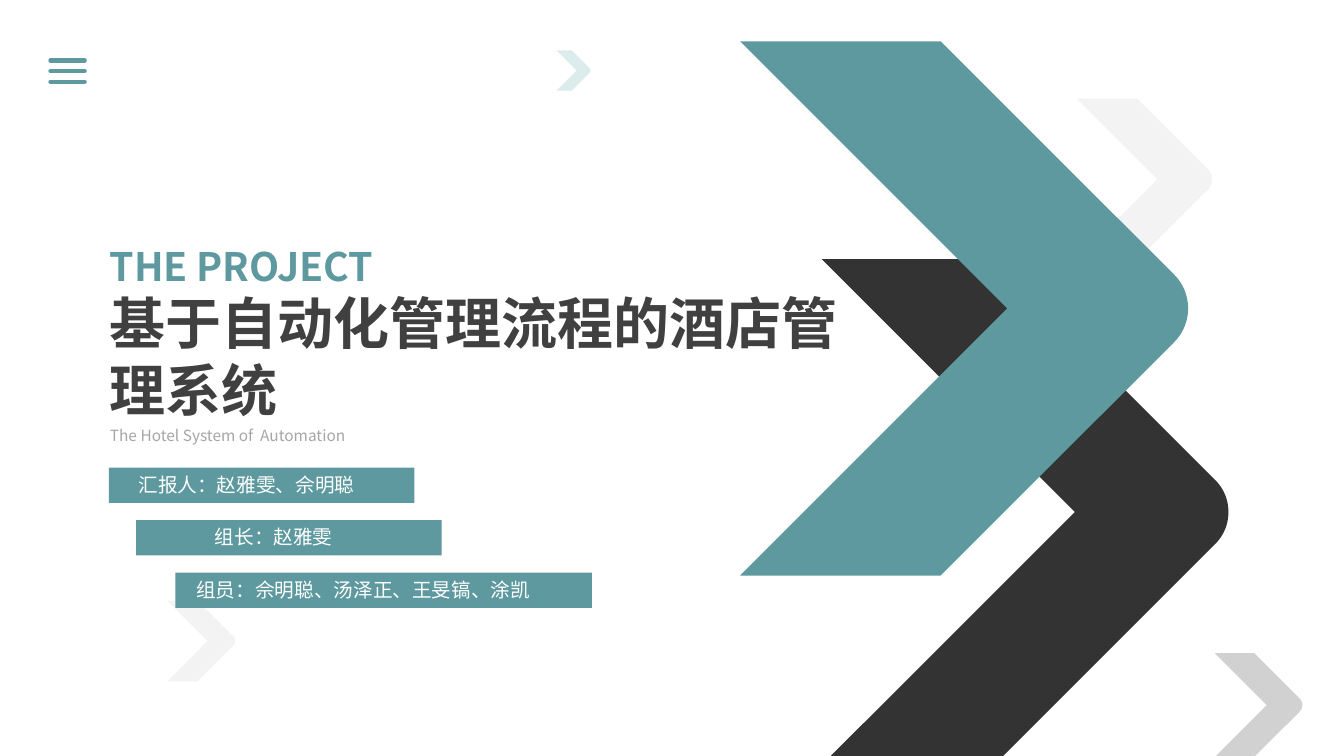
from lxml import etree
from pptx import Presentation
from pptx.dml.color import RGBColor
from pptx.enum.shapes import MSO_CONNECTOR, MSO_SHAPE
from pptx.enum.text import MSO_ANCHOR, MSO_AUTO_SIZE, PP_ALIGN
from pptx.oxml.ns import qn
from pptx.util import Inches, Pt

STRAIGHT = MSO_CONNECTOR.STRAIGHT
RECTANGLE = MSO_SHAPE.RECTANGLE
TOP = MSO_ANCHOR.TOP
GROW = MSO_AUTO_SIZE.SHAPE_TO_FIT_TEXT
LEFT, CENTER = PP_ALIGN.LEFT, PP_ALIGN.CENTER

FONT = "Noto Sans CJK SC"
TEAL = "5D999F"
SLIDE_WIDTH, SLIDE_HEIGHT = 13.33, 7.5
CURVE_STEPS = 24

# left, top, height, arm width, colour, opacity in percent
CHEVRONS = [
    (10.68, 0.98, 1.6, 0.6, "F2F2F2", 90),
    (8.15, 2.57, 5.02, 1.71, "000000", 80),
    (7.34, 0.41, 5.3, 1.99, TEAL, 100),
    (12.05, 6.48, 1.03, 0.39, "CCCCCC", 90),
    (1.66, 5.96, 0.8, 0.3, "F2F2F2", 90),
    (5.52, 0.5, 0.4, 0.15, "D9EAEC", 90),
]

# bar left, bar width, label left, label width, label
TEAM_BARS = [
    (1.08, 3.03, 1.15, 2.59, "汇报人：赵雅雯、佘明聪"),
    (1.35, 3.03, 1.42, 2.59, "组长：赵雅雯"),
    (1.74, 4.13, 1.84, 3.53, "组员：佘明聪、汤泽正、王旻镐、涂凯"),
]


def rgb(value):
    """Turn a hex string into a colour."""
    return RGBColor.from_string(value)


def paint(shape, color, opacity=100):
    """Give a shape a flat fill without line or shadow."""
    shape.shadow.inherit = False
    shape.line.fill.background()
    shape.fill.solid()
    shape.fill.fore_color.rgb = rgb(color)
    if opacity < 100:
        fill_color = shape.fill._xPr.find(".//" + qn("a:srgbClr"))
        etree.SubElement(fill_color, qn("a:alpha"), val=str(opacity * 1000))


def write(box, text, size, color, bold=False, align=LEFT):
    """Write one formatted paragraph into a box."""
    frame = box.text_frame
    frame.text = text
    frame_format = {"word_wrap": True, "auto_size": GROW, "vertical_anchor": TOP}
    for name, value in frame_format.items():
        setattr(frame, name, value)
    paragraph = frame.paragraphs[0]
    paragraph.alignment = align
    paragraph.space_before = Pt(0)
    font = paragraph.runs[0].font
    for name, value in {"name": FONT, "size": Pt(size), "bold": bold}.items():
        setattr(font, name, value)
    font.color.rgb = rgb(color)
    etree.SubElement(font._element, qn("a:ea"), typeface=FONT)


def place(box, left, top, width, height):
    """Move and size a placeholder."""
    bounds = {"left": left, "top": top, "width": width, "height": height}
    for name, value in bounds.items():
        setattr(box, name, Inches(value))


def rounded_tip(shoulder, middle, radius):
    """Return points along the curved tip of a chevron."""
    points = []
    reach = 0.55 * radius
    for step in range(1, CURVE_STEPS + 1):
        t = step / CURVE_STEPS
        x = shoulder + 3 * t * (1 - t) * reach
        y = (-radius * (1 - t) ** 3 - 3 * (radius - reach) * t * (1 - t) ** 2
             + 3 * (radius - reach) * t ** 2 * (1 - t) + radius * t ** 3)
        points.append((x, middle + y))
    return points


def add_chevron(slide, left, top, height, arm, color, opacity):
    """Draw a 45 degree chevron, cut at the bottom of the slide."""
    half = height / 2
    radius = 0.063 * height
    middle = top + half
    shoulder = left + arm + half - radius
    bottom = min(top + height, SLIDE_HEIGHT)
    foot = left + top + height - bottom
    outline = [(left + arm, top), (shoulder, middle - radius)]
    outline += rounded_tip(shoulder, middle, radius)
    outline += [(foot + arm, bottom), (foot, bottom), (left + half, middle)]
    builder = slide.shapes.build_freeform(Inches(left), Inches(top))
    builder.add_line_segments([(Inches(x), Inches(y)) for x, y in outline])
    paint(builder.convert_to_shape(), color, opacity)


def add_team_bar(slide, top, bar_left, bar_width, label_left, label_width, label):
    """Add a teal bar grouped with its centred label."""
    group = slide.shapes.add_group_shape()
    bar = group.shapes.add_shape(
        RECTANGLE, Inches(bar_left), Inches(top), Inches(bar_width), Inches(0.35))
    paint(bar, TEAL)
    label_box = group.shapes.add_textbox(
        Inches(label_left), Inches(top), Inches(label_width), Inches(0.34))
    write(label_box, label, 14, "FFFFFF", align=CENTER)


def add_menu_icon(slide):
    """Add three round-ended lines as a menu icon."""
    group = slide.shapes.add_group_shape()
    for row in range(3):
        y = Inches(0.6 + 0.105 * row)
        stroke = group.shapes.add_connector(STRAIGHT, Inches(0.5), y, Inches(0.84), y)
        stroke.line.color.rgb = rgb(TEAL)
        stroke.line.width = Pt(3)
        properties = stroke._element.spPr
        properties.find(qn("a:ln")).set("cap", "rnd")
        etree.SubElement(properties, qn("a:effectLst"))


def main():
    """Build the cover slide and save it."""
    deck = Presentation()
    deck.slide_width = Inches(SLIDE_WIDTH)
    deck.slide_height = Inches(SLIDE_HEIGHT)
    slide = deck.slides.add_slide(deck.slide_layouts[0])

    for chevron in CHEVRONS:
        add_chevron(slide, *chevron)

    title = slide.shapes.title
    place(title, 0.99, 2.81, 7.68, 1.45)
    write(title, "基于自动化管理流程的酒店管理系统", 40, "404040", bold=True)
    subtitle = slide.placeholders[1]
    place(subtitle, 0.99, 4.18, 6.63, 0.28)
    write(subtitle, "The Hotel System of  Automation", 11, "A6A6A6")
    kicker = slide.shapes.add_textbox(
        Inches(0.99), Inches(2.35), Inches(4.37), Inches(0.57))
    write(kicker, "THE PROJECT", 28, TEAL, bold=True)

    for row, team_bar in enumerate(TEAM_BARS):
        add_team_bar(slide, 4.64 + 0.52 * row, *team_bar)
    add_menu_icon(slide)
    deck.save("out.pptx")


if __name__ == "__main__":
    main()
